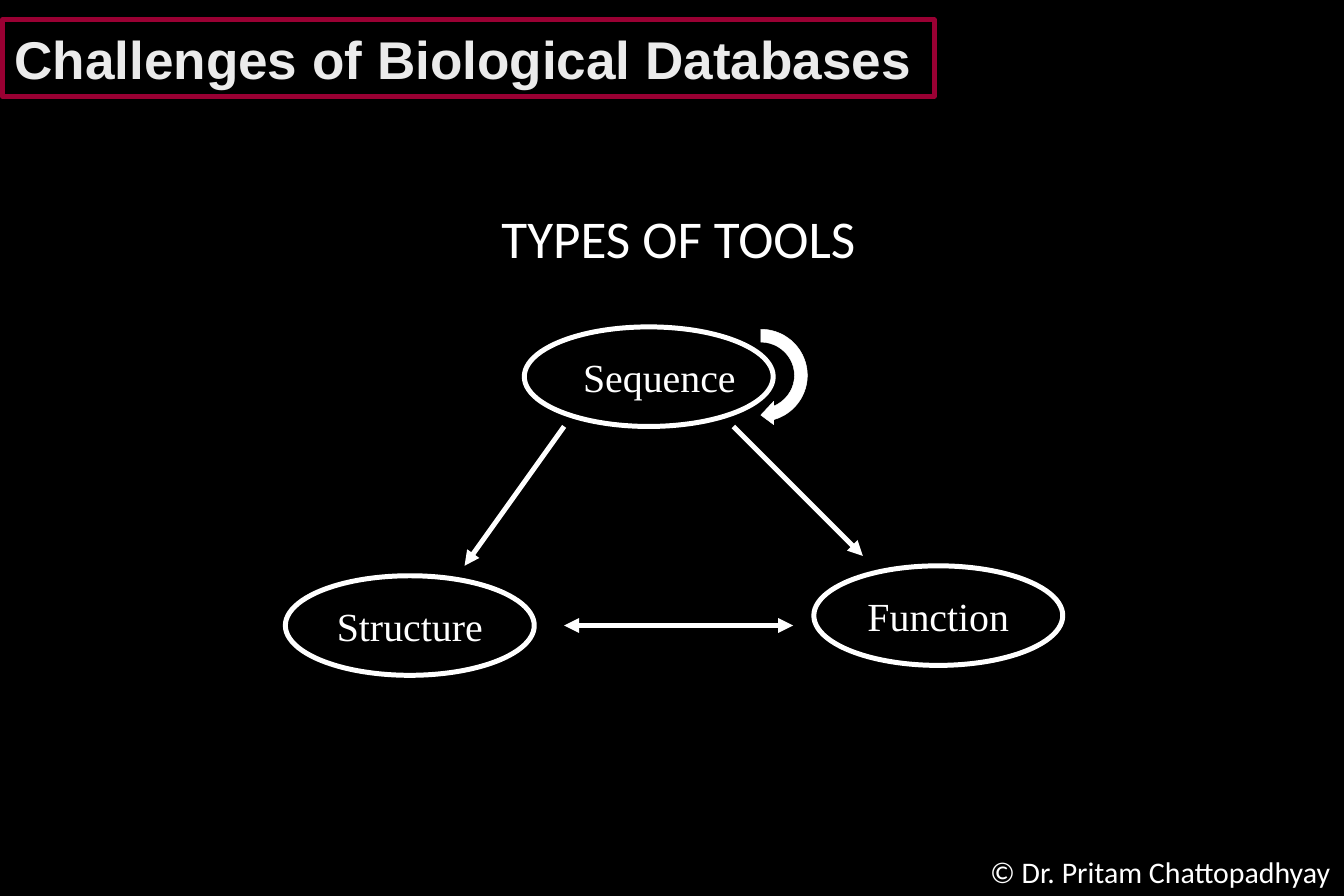
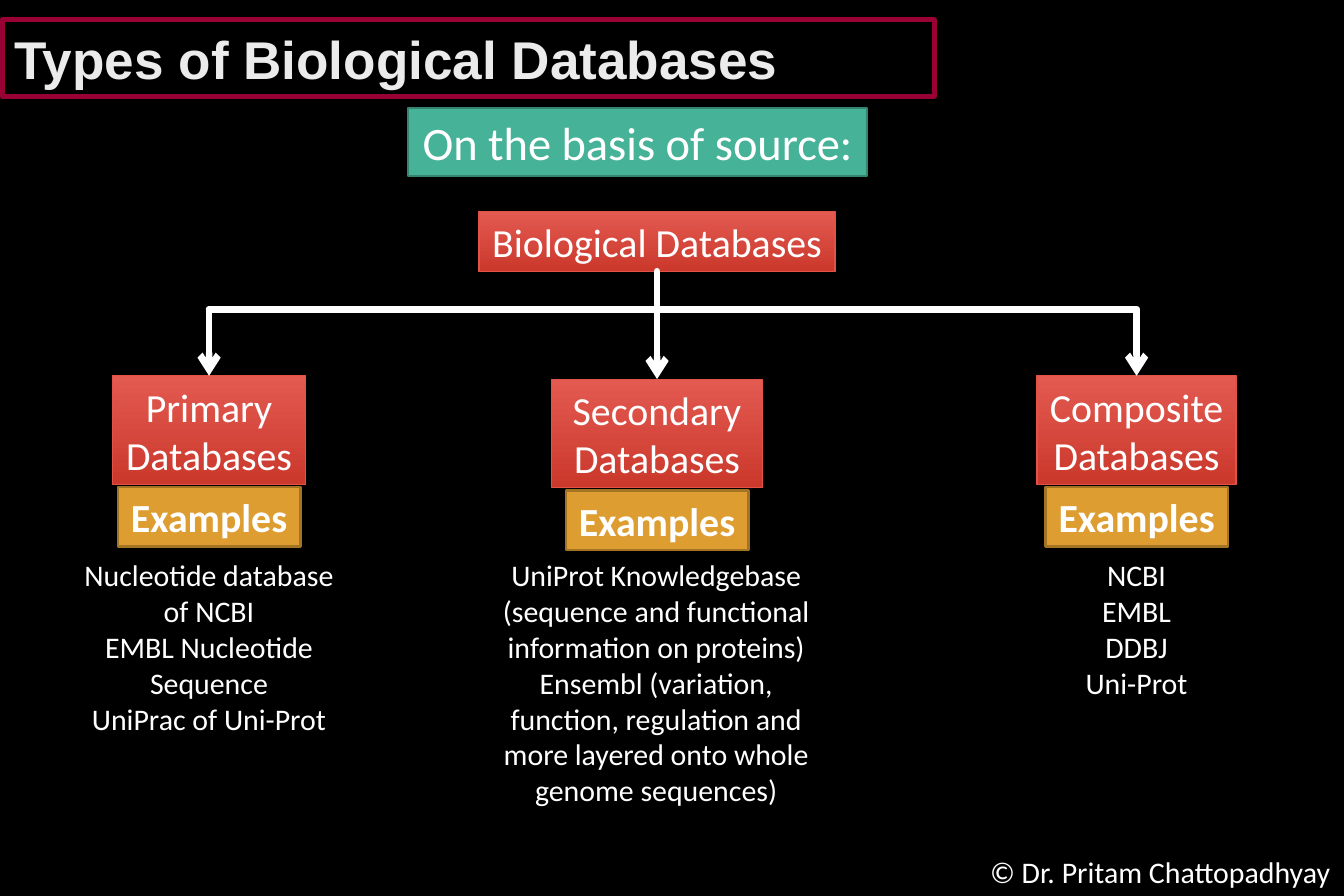
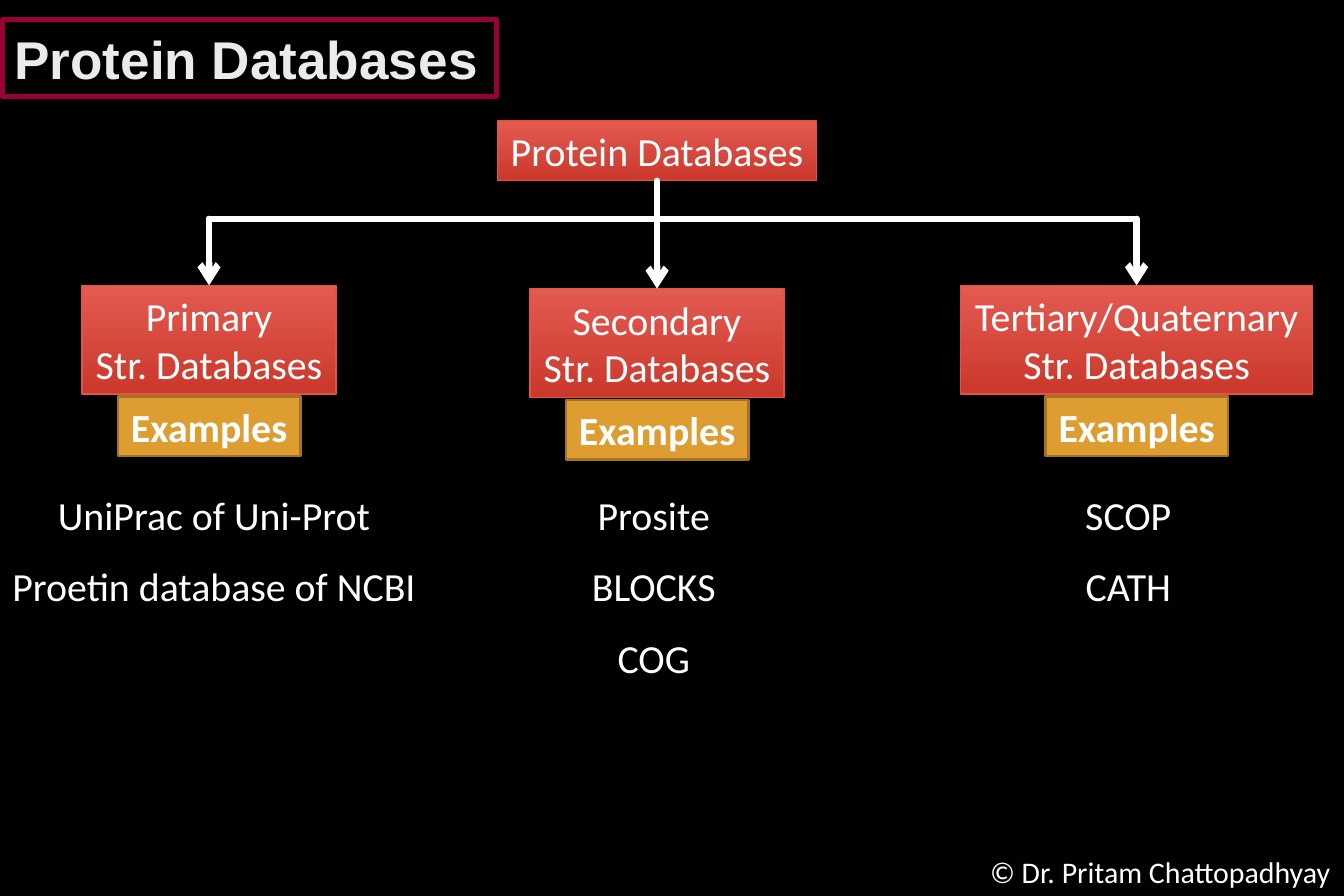
from lxml import etree
from pptx import Presentation
from pptx.dml.color import RGBColor
from pptx.enum import shapes as kinds, text as txt
from pptx.oxml.ns import qn
from pptx.util import Pt

BLACK = RGBColor(0x00, 0x00, 0x00)
WHITE = RGBColor(0xFF, 0xFF, 0xFF)
PALE = RGBColor(0xEB, 0xEB, 0xEB)
WINE = RGBColor(0x99, 0x00, 0x33)
GREEN = RGBColor(0x46, 0xB2, 0x98)
PINE = RGBColor(0x34, 0x84, 0x70)
ROSE = RGBColor(0xE3, 0x5A, 0x51)
RED = RGBColor(0xCB, 0x38, 0x2C)
CORAL = RGBColor(0xE2, 0x52, 0x47)
GOLD = RGBColor(0xDD, 0x9D, 0x31)
BROWN = RGBColor(0xA3, 0x74, 0x24)

RECT = kinds.MSO_SHAPE.RECTANGLE
OVAL = kinds.MSO_SHAPE.OVAL
LOOP = kinds.MSO_SHAPE.CIRCULAR_ARROW
MID, TOP = txt.MSO_ANCHOR.MIDDLE, txt.MSO_ANCHOR.TOP
LEFT, CENTER = txt.PP_ALIGN.LEFT, txt.PP_ALIGN.CENTER


def write(slide, words, at, kind=None, holder=None, size=24, face="Calibri",
          tone=WHITE, bold=False, align=CENTER, anchor=MID, wrap=False,
          lead=1.0, pad=7.2, fill=None, edge=None, width=1.5):
    """Fill a placeholder, a preset shape or else a text box; a pair of fills is a gradient."""
    spot = [Pt(v) for v in at]
    if holder is not None:
        shape = holder
        shape.left, shape.top, shape.width, shape.height = spot
    elif kind is not None:
        shape = slide.shapes.add_shape(kind, *spot)
    else:
        shape = slide.shapes.add_textbox(*spot)
    shape.shadow.inherit = False

    if fill is None:
        shape.fill.background()
    elif isinstance(fill, RGBColor):
        shape.fill.solid()
        shape.fill.fore_color.rgb = fill
    else:
        shape.fill.gradient()
        shape.fill.gradient_angle = 270
        for stop, shade in zip(shape.fill.gradient_stops, fill):
            stop.color.rgb = shade
    if edge is None:
        shape.line.fill.background()
    else:
        shape.line.color.rgb = edge
        shape.line.width = Pt(width)

    frame = shape.text_frame
    frame.text = words
    frame.auto_size = txt.MSO_AUTO_SIZE.NONE
    frame.word_wrap = wrap
    frame.vertical_anchor = anchor
    frame.margin_left = Pt(pad)
    for para in frame.paragraphs:
        if holder is not None:
            props = para._p.get_or_add_pPr()
            props.set("marL", "0")
            props.set("indent", "0")
            etree.SubElement(props, qn("a:buNone"))
        para.alignment = align
        para.space_before = Pt(0)
        para.line_spacing = lead
        for run in para.runs:
            run.font.size = Pt(size)
            run.font.name = face
            run.font.bold = bold
            run.font.color.rgb = tone
    return shape


def link(slide, ends, width=4, cap="rnd", head=None, tail=None):
    """Draw a straight white line, with arrowheads where named."""
    line = slide.shapes.add_connector(
        kinds.MSO_CONNECTOR.STRAIGHT, *[Pt(v) for v in ends])
    line.line.color.rgb = WHITE
    line.line.width = Pt(width)
    props = line._element.spPr
    stroke = props.find(qn("a:ln"))
    stroke.set("cap", cap)
    for tag, tip in (("a:headEnd", head), ("a:tailEnd", tail)):
        if tip:
            etree.SubElement(stroke, qn(tag)).set("type", tip)
    etree.SubElement(props, qn("a:effectLst"))
    return line


deck = Presentation()
deck.slide_width, deck.slide_height = Pt(810), Pt(540)
back = deck.slide_master.background.fill
back.solid()
back.fore_color.rgb = BLACK

# Shared title and footer: layout 1 has one body, layout 4 several
for title, span, layout in (
        ("Challenges of Biological Databases", 561.5, 1),
        ("Types of Biological Databases", 561.5, 4),
        ("Protein Databases", 298, 4)):
    slide = deck.slides.add_slide(deck.slide_layouts[layout])
    write(slide, title, (1.5, 12, span, 46), holder=slide.shapes.title,
          size=32, face="Arial", tone=PALE, bold=True, align=LEFT,
          wrap=True, fill=BLACK, edge=WINE, width=3)
    write(slide, "© Dr. Pritam Chattopadhyay", (588.5, 510.5, 221.5, 29), size=18)

# Slide 1: triangle of tools
tools, types, proteins = deck.slides
write(tools, "TYPES OF TOOLS", (103, 120, 612, 114.5),
      holder=tools.placeholders[1], size=32, anchor=TOP, wrap=True)
for name, left, top, pad in (("Sequence", 316, 197, 20),
                             ("Structure", 172, 347, 7.2),
                             ("Function", 490.5, 341, 7.2)):
    write(tools, name, (left, top, 150, 60), kind=OVAL,
          face="Times New Roman", pad=pad, edge=WHITE, width=3)
for ends, head in (((442, 257, 520, 335), None),
                   ((340, 257, 280, 341), None),
                   ((340, 377, 478, 377), "triangle")):
    link(tools, ends, width=3, cap="flat", head=head, tail="triangle")
turn = write(tools, "", (427.5, 195, 62, 62.5), kind=LOOP,
             fill=WHITE, edge=WHITE, width=0.25)
turn.rotation = 90
for i, value in enumerate((0.125, 11.423, 204.577, 108, 0.114)):
    turn.adjustments[i] = value

# Slides 2 and 3: one tree of three columns
write(types, "On the basis of source:", (246, 65, 276.5, 41), kind=RECT,
      size=28, fill=GREEN, edge=PINE)

# Each branch: name, box width, list, list centre, list width
trees = (
    (types, "Biological Databases", 214.5, 127.5, 18, 1.0, (
        ("Primary\nDatabases", 116,
         "Nucleotide database\nof NCBI\nEMBL Nucleotide Sequence\nUniPrac of Uni-Prot",
         126, 178),
        ("Secondary\nDatabases", 127,
         "UniProt Knowledgebase (sequence and functional information on proteins)\n"
         "Ensembl (variation, function, regulation and more layered onto whole"
         " genome sequences)",
         395.5, 212),
        ("Composite\nDatabases", 120, "NCBI\nEMBL\nDDBJ\nUni-Prot", 685, 100))),
    (proteins, "Protein Databases", 192.5, 73, 24, 1.5, (
        ("Primary\nStr. Databases", 153,
         "UniPrac of Uni-Prot\nProetin database of NCBI", 129, 258),
        ("Secondary\nStr. Databases", 153, "Prosite\nBLOCKS\nCOG", 394, 120),
        ("Tertiary/Quaternary\nStr. Databases", 212, "SCOP\nCATH", 680, 100))),
)
axes = (126, 396, 685)
drops = (99, 101, 99)
card = dict(kind=RECT, fill=(ROSE, RED), edge=CORAL, width=0.75)

for slide, name, span, top, size, lead, branches in trees:
    root = write(slide, name, (axes[1] - span / 2, top, span, 36), **card)
    bar = top + 59
    link(slide, (axes[0], bar, axes[2], bar))
    bodies = list(slide.placeholders)[1:]
    for axis, drop, body, branch in zip(axes, drops, bodies, branches):
        label, wide, items, mid, room = branch
        y = top + drop
        box = write(slide, label, (axis - wide / 2, y, wide, 65.5), **card)
        arrow = link(slide, (axis, bar, axis, y), tail="arrow")
        if axis == axes[1]:
            arrow.begin_connect(root, 2)
        arrow.end_connect(box, 0)
        write(slide, "Examples", (axis - 55, y + 67, 110, 36), kind=RECT,
              bold=True, fill=GOLD, edge=BROWN)
        write(slide, items, (mid - room / 2, top + 204.5, room, 180),
              holder=body, size=size, anchor=TOP, wrap=True, lead=lead)
    spare = bodies[-1]._element
    spare.getparent().remove(spare)

deck.save("out.pptx")
